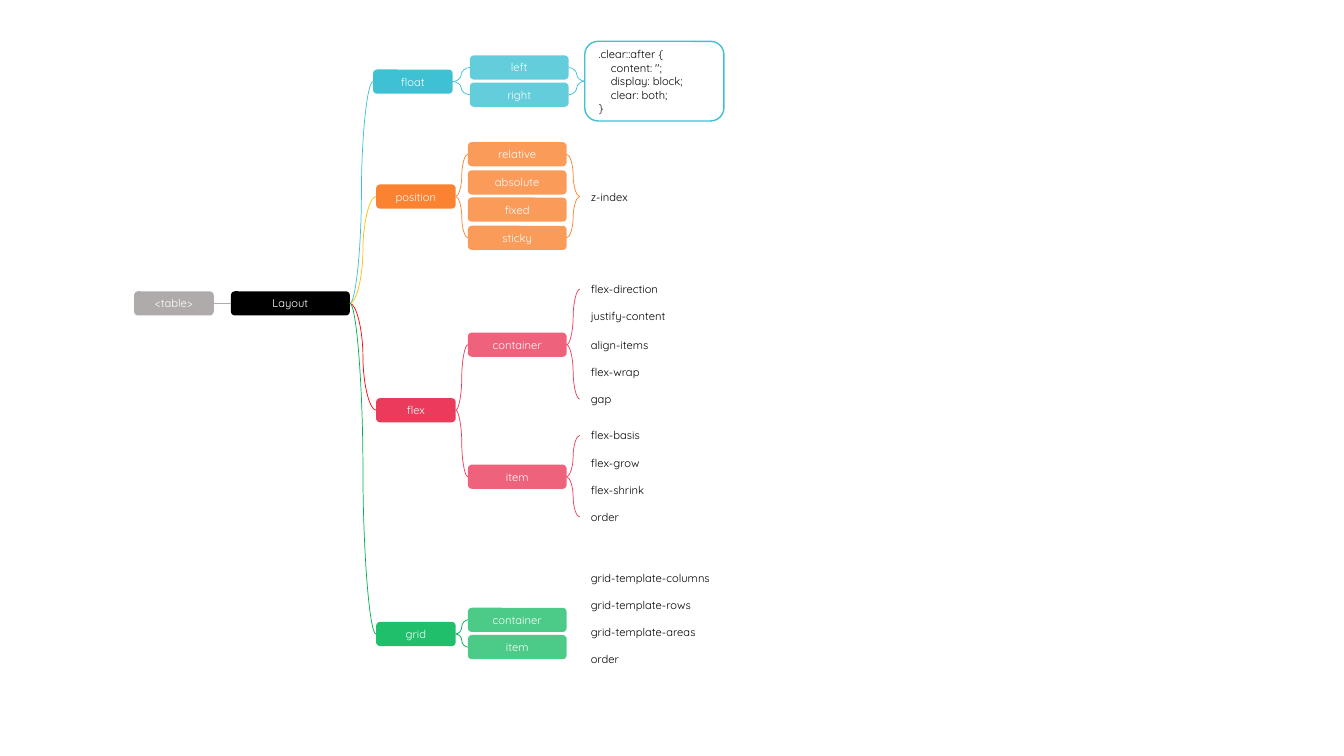
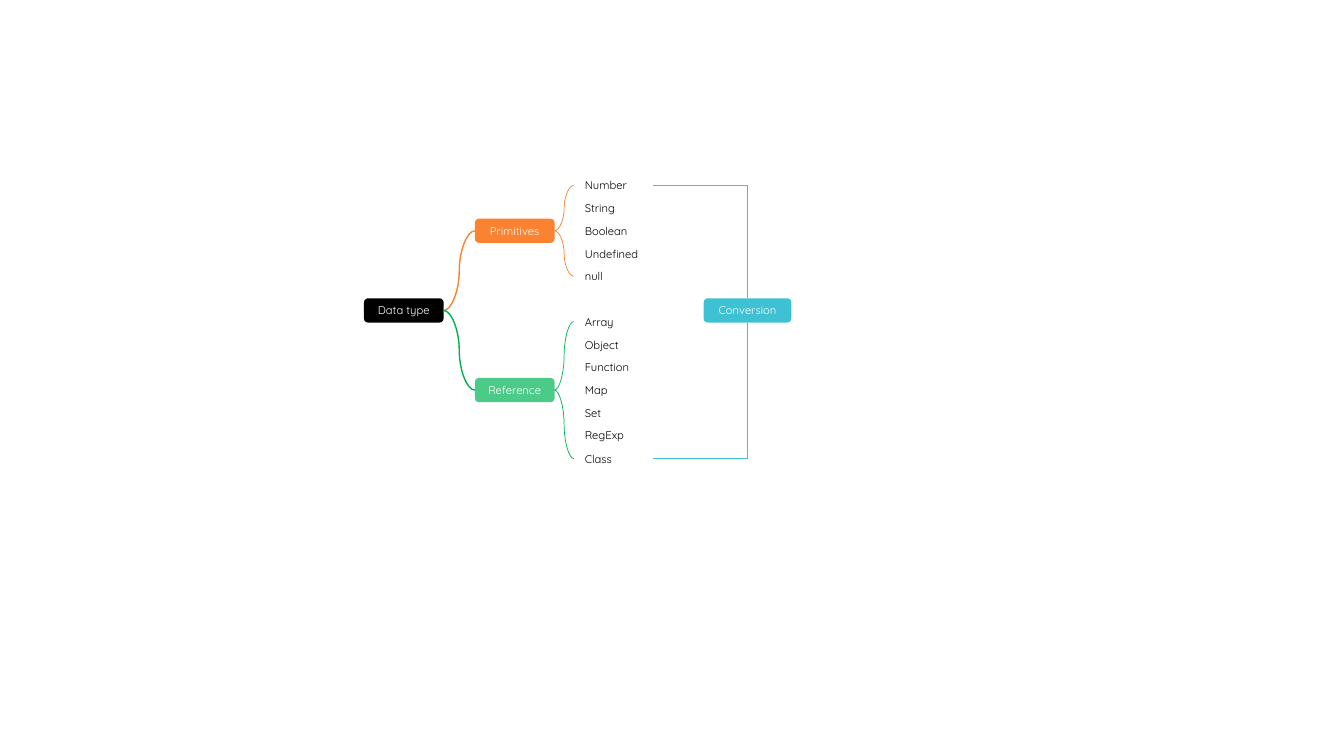
from dataclasses import dataclass

from lxml import etree
from pptx import Presentation
from pptx.dml.color import RGBColor
from pptx.enum.shapes import MSO_CONNECTOR, MSO_SHAPE
from pptx.enum.text import MSO_ANCHOR, PP_ALIGN
from pptx.oxml.ns import qn
from pptx.shapes.autoshape import Shape
from pptx.slide import Slide
from pptx.util import Emu, Pt

ROUND = MSO_SHAPE.ROUNDED_RECTANGLE
STRAIGHT, CURVE, ELBOW = MSO_CONNECTOR.STRAIGHT, MSO_CONNECTOR.CURVE, MSO_CONNECTOR.ELBOW
MIDDLE = MSO_ANCHOR.MIDDLE
LEFT, CENTER = PP_ALIGN.LEFT, PP_ALIGN.CENTER
TOP_SIDE, LEFT_SIDE, BOTTOM_SIDE, RIGHT_SIDE = range(4)
EMU_PER_PX = 9144


@dataclass(frozen=True)
class Theme:
    font: str = "Quicksand"
    size: int = 8
    black: str = "000000"
    white: str = "FFFFFF"
    gray: str = "AFABAB"
    cyan: str = "3DC1D3"
    orange: str = "FA8231"
    yellow: str = "FFC000"
    pink: str = "EB3B5A"
    red: str = "FF0000"
    green: str = "20BF6B"
    leaf: str = "00B050"
    tint: int = 80
    thin: float = 0.5
    thick: float = 1


THEME = Theme()


@dataclass(frozen=True)
class Box:
    text: str
    left: int
    top: int
    width: int = 79
    height: int = 24
    fill: str | None = None
    opacity: int = 100
    outline: str | None = None


@dataclass(frozen=True)
class Column:
    labels: tuple[str, ...]
    left: int
    first: int
    last: int
    width: int = 98
    fill: str | None = None

    def boxes(self) -> list[Box]:
        gap = (self.last - self.first) / (len(self.labels) - 1)
        return [Box(label, self.left, round(self.first + i * gap), self.width,
                    fill=self.fill, opacity=THEME.tint)
                for i, label in enumerate(self.labels)]


def px(n: int) -> Emu:
    return Emu(n * EMU_PER_PX)


def rgb(color: str) -> RGBColor:
    return RGBColor.from_string(color)


def draw_box(s: Slide, box: Box) -> Shape:
    sp = s.shapes.add_shape(ROUND, px(box.left), px(box.top), px(box.width), px(box.height))
    sp.shadow.inherit = False
    if box.fill:
        sp.fill.solid()
        sp.fill.fore_color.rgb = rgb(box.fill)
        if box.opacity < 100:
            color = sp._element.spPr.find(qn("a:solidFill")).find(qn("a:srgbClr"))
            etree.SubElement(color, qn("a:alpha")).set("val", str(box.opacity * 1000))
    else:
        sp.fill.background()
    if box.outline:
        sp.line.color.rgb = rgb(box.outline)
        sp.line.width = Pt(THEME.thick)
    else:
        sp.line.fill.background()
    tf = sp.text_frame
    tf.word_wrap = True
    tf.vertical_anchor = MIDDLE
    for i, text in enumerate(box.text.split("\n")):
        p = tf.add_paragraph() if i else tf.paragraphs[0]
        p.add_run().text = text
        p.alignment = CENTER if box.fill else LEFT
        p.font.name = THEME.font
        p.font.size = Pt(THEME.size)
        p.font.color.rgb = rgb(THEME.white if box.fill else THEME.black)
    return sp


def draw_column(s: Slide, column: Column) -> list[Shape]:
    return [draw_box(s, box) for box in column.boxes()]


def join(s: Slide, start: Shape, end: Shape, color: str, width: float = THEME.thin,
         kind: MSO_CONNECTOR = CURVE, side: int = LEFT_SIDE) -> None:
    line = s.shapes.add_connector(kind, 0, 0, 0, 0)
    line.begin_connect(start, RIGHT_SIDE)
    line.end_connect(end, side)
    line.line.color.rgb = rgb(color)
    line.line.width = Pt(width)
    props = line._element.spPr
    if kind == ELBOW:
        props.find(qn("a:prstGeom")).set("prst", "bentConnector2")
    etree.SubElement(props, qn("a:effectLst"))


def fan_out(s: Slide, start: Shape, ends: list[Shape], color: str) -> None:
    for end in (ends[0], ends[-1]):
        join(s, start, end, color)


def fan_in(s: Slide, starts: list[Shape], end: Shape, color: str) -> None:
    for start in (starts[0], starts[-1]):
        join(s, start, end, color)


def layout_slide(prs: Presentation) -> None:
    s = prs.slides.add_slide(prs.slide_layouts[6])
    table = draw_box(s, Box("<table>", 133, 289, fill=THEME.gray))
    root = draw_box(s, Box("Layout", 229, 289, 118, fill=THEME.black))
    join(s, table, root, THEME.gray, kind=STRAIGHT)

    branches = (
        (Box("float", 370, 69, fill=THEME.cyan), THEME.cyan, THEME.cyan,
         Column(("left", "right"), 466, 55, 82, fill=THEME.cyan)),
        (Box("position", 373, 183, fill=THEME.orange), THEME.yellow, THEME.orange,
         Column(("relative", "absolute", "fixed", "sticky"), 464, 141, 224,
                fill=THEME.orange)),
        (Box("flex", 373, 395, fill=THEME.pink), THEME.red, THEME.pink,
         Column(("container", "item"), 464, 330, 461, fill=THEME.pink)),
        (Box("grid", 373, 617, fill=THEME.green), THEME.leaf, THEME.leaf,
         Column(("container", "item"), 464, 603, 630, fill=THEME.green)),
    )
    children = {}
    for box, root_color, color, column in branches:
        branch = draw_box(s, box)
        children[box.text] = draw_column(s, column)
        join(s, root, branch, root_color)
        fan_out(s, branch, children[box.text], color)

    code = ".clear::after {\n    content: '';\n    display: block;\n    clear: both;\n}"
    clearfix = draw_box(s, Box(code, 580, 41, 138, 79, outline=THEME.cyan))
    fan_in(s, children["float"], clearfix, THEME.cyan)
    z_index = draw_box(s, Box("z-index", 575, 183, 98))
    fan_in(s, children["position"], z_index, THEME.orange)

    flex_columns = (
        Column(("flex-direction", "justify-content", "align-items", "flex-wrap", "gap"),
               575, 275, 384),
        Column(("flex-basis", "flex-grow", "flex-shrink", "order"), 575, 420, 501),
    )
    for child, column in zip(children["flex"], flex_columns):
        fan_out(s, child, draw_column(s, column), THEME.pink)
    draw_column(s, Column(("grid-template-columns", "grid-template-rows",
                           "grid-template-areas", "order"), 575, 561, 642, 157))


def data_type_slide(prs: Presentation) -> None:
    s = prs.slides.add_slide(prs.slide_layouts[6])
    root = draw_box(s, Box("Data type", 361, 296, fill=THEME.black))
    conversion = draw_box(s, Box("Conversion", 698, 296, 87, fill=THEME.cyan))
    branches = (
        (Box("Primitives", 471, 217, fill=THEME.orange), THEME.orange,
         Column(("Number", "String", "Boolean", "Undefined", "null"), 569, 172, 262, 79)),
        (Box("Reference", 471, 375, fill=THEME.green, opacity=THEME.tint), THEME.leaf,
         Column(("Array", "Object", "Function", "Map", "Set", "RegExp", "Class"),
                569, 307, 443, 79)),
    )
    kinds = []
    for box, color, column in branches:
        branch = draw_box(s, box)
        names = draw_column(s, column)
        join(s, root, branch, color, THEME.thick)
        fan_out(s, branch, names, color)
        kinds += names
    for name, side in ((kinds[0], TOP_SIDE), (kinds[-1], BOTTOM_SIDE)):
        join(s, name, conversion, THEME.cyan, kind=ELBOW, side=side)


def main() -> None:
    prs = Presentation()
    prs.slide_width, prs.slide_height = px(1333), px(750)
    layout_slide(prs)
    data_type_slide(prs)
    prs.save("out.pptx")


if __name__ == "__main__":
    main()
